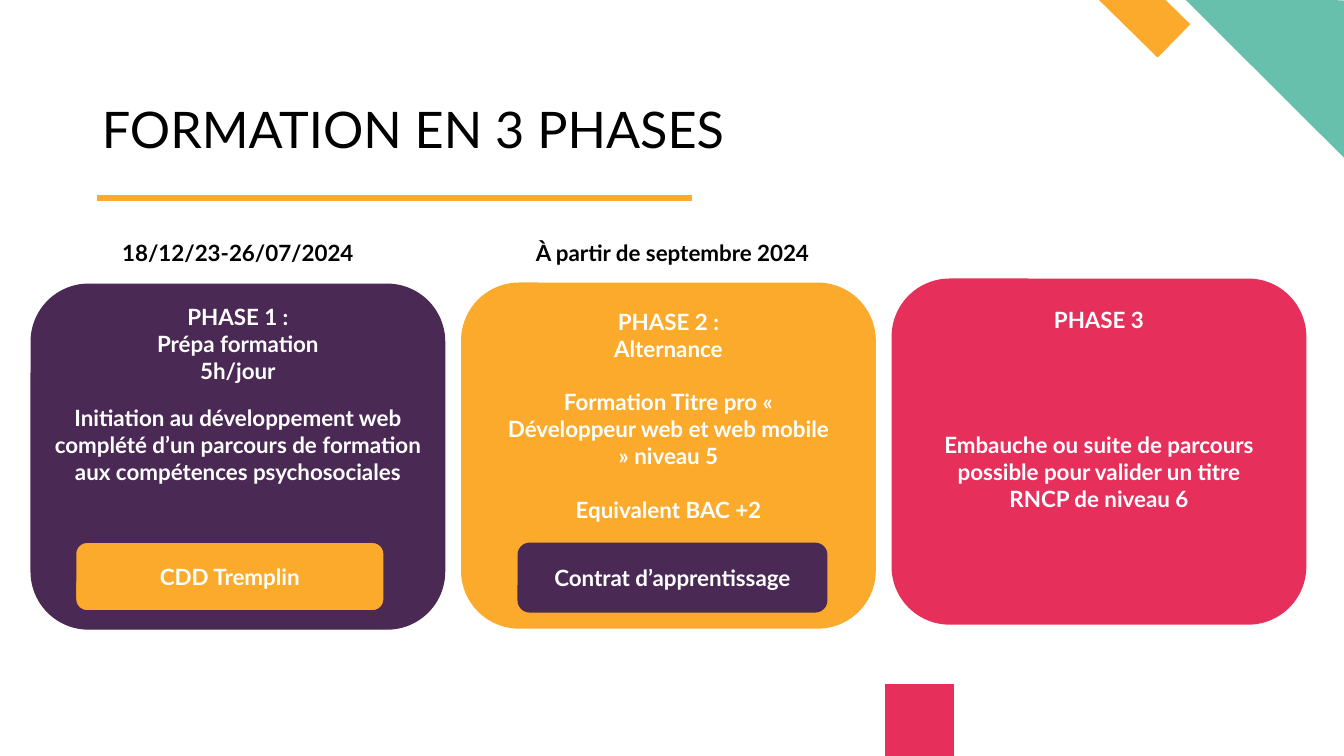
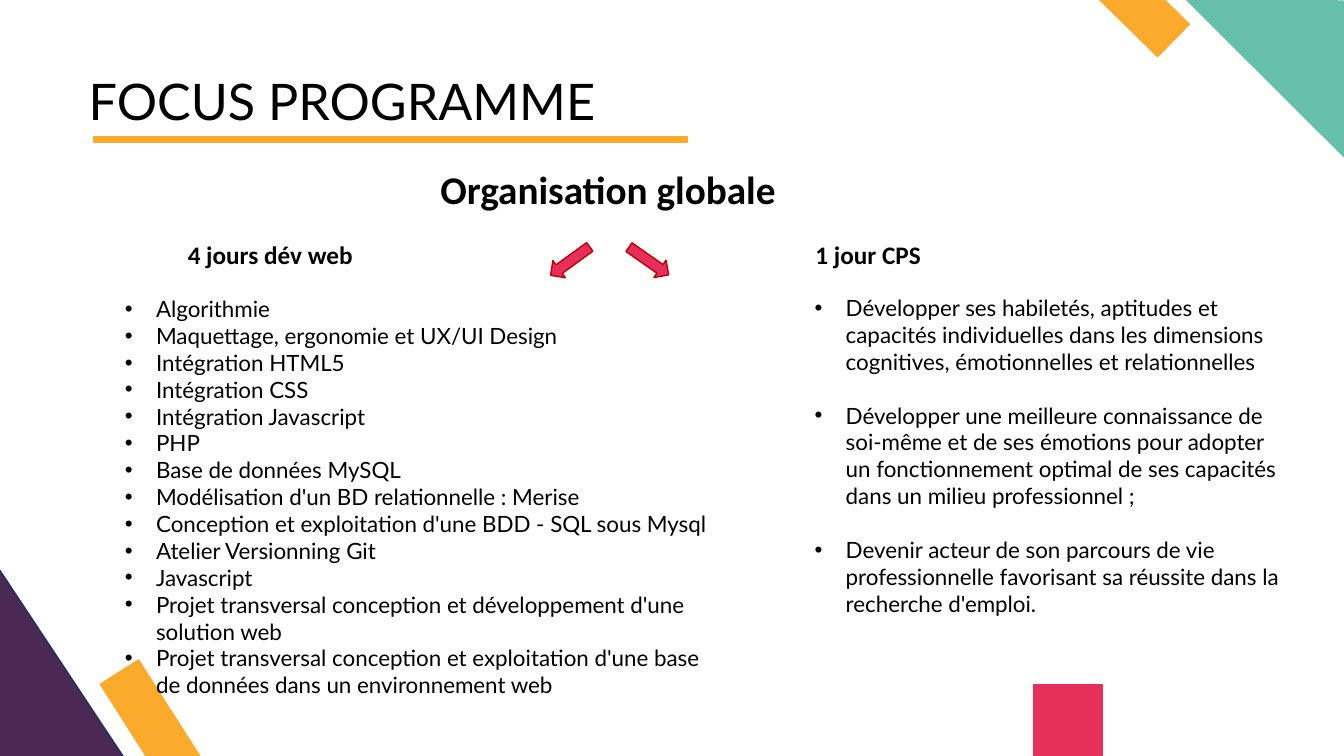
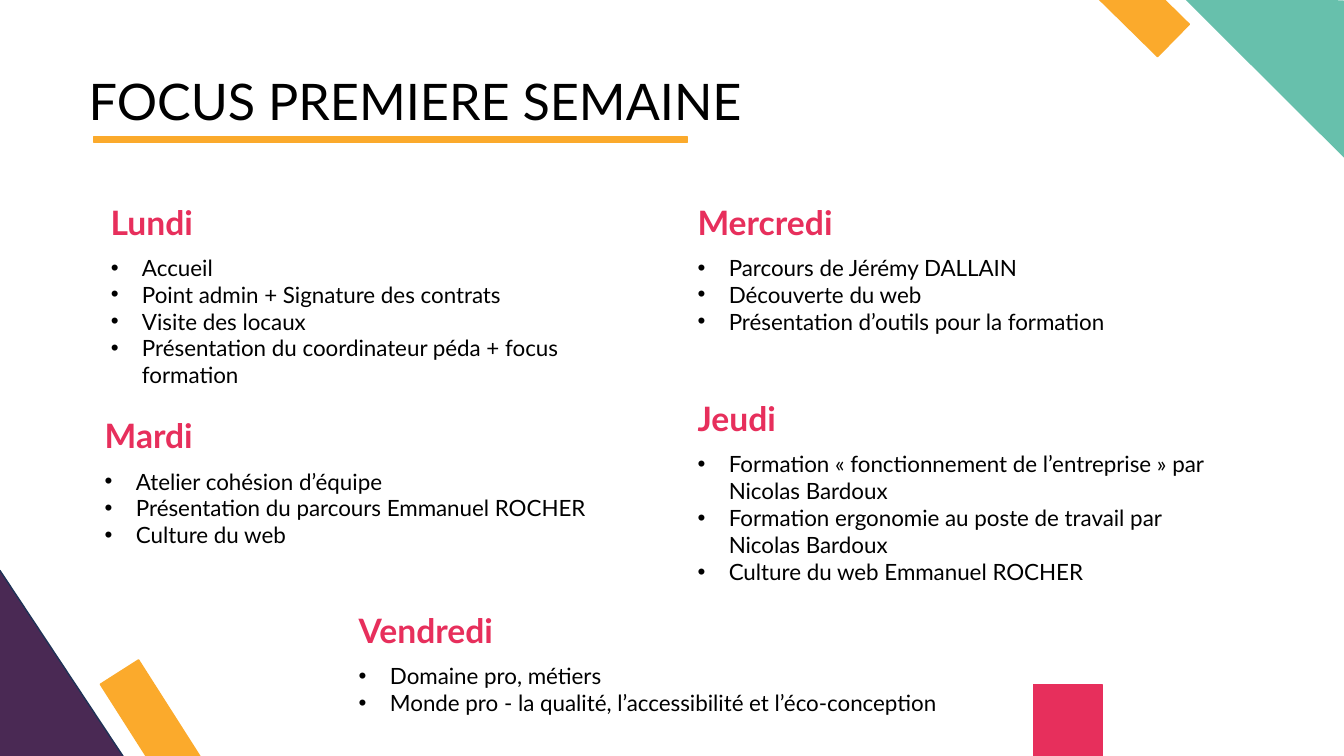
from dataclasses import dataclass

from lxml import etree
from pptx import Presentation
from pptx.dml.color import RGBColor
from pptx.enum.shapes import MSO_SHAPE
from pptx.enum.text import MSO_ANCHOR, MSO_AUTO_SIZE, PP_ALIGN
from pptx.oxml.ns import qn
from pptx.util import Pt

PX = 9144  # one hundredth of an inch


@dataclass(frozen=True)
class Theme:
    purple: str = "4A2954"
    navy: str = "1E3256"
    orange: str = "FBAA2C"
    pink: str = "E72F5C"
    green: str = "67C0AC"
    red: str = "C00000"
    black: str = "000000"
    white: str = "FFFFFF"
    font: str = "Lato"
    heading_font: str = "Calibri"
    title: int = 36
    section: int = 28
    day: int = 24
    column: int = 18
    body: int = 16
    blank_line: float = 19.2


THEME = Theme()


def px(*lengths):
    return [round(length * PX) for length in lengths]


def add_span(para, text, size=THEME.body, color=THEME.black, bold=False, font=THEME.font):
    span = para.add_run()
    span.text = text
    span.font.name = font
    span.font.size = Pt(size)
    span.font.bold = bold
    span.font.color.rgb = RGBColor.from_string(color)


def add_bullet(para):
    indent = 31 * PX
    properties = para._p.get_or_add_pPr()
    properties.set("marL", str(indent))
    properties.set("indent", str(-indent))
    etree.SubElement(properties, qn("a:buFont")).set("typeface", "Arial")
    etree.SubElement(properties, qn("a:buChar")).set("char", "•")


def fill_frame(frame, lines, align=PP_ALIGN.LEFT, anchor=MSO_ANCHOR.TOP,
               bullets=False, gaps=(), **style):
    """Write one paragraph per line; gaps lists the lines that follow an empty space."""
    frame.word_wrap = True
    frame.auto_size = MSO_AUTO_SIZE.NONE
    frame.vertical_anchor = anchor
    for index, line in enumerate(lines):
        para = frame.add_paragraph() if index else frame.paragraphs[0]
        para.alignment = align
        if index in gaps:
            para.space_before = Pt(THEME.blank_line)
        if bullets:
            add_bullet(para)
        add_span(para, line, **style)


def add_text(page, left, top, width, height, lines, **style):
    box = page.shapes.add_textbox(*px(left, top, width, height))
    fill_frame(box.text_frame, lines, **style)


def add_centred(page, center, middle, width, lines, height=90, **style):
    """Bold centred text placed around the point (center, middle)."""
    add_text(page, center - width / 2, middle - height / 2, width, height, lines,
             align=PP_ALIGN.CENTER, anchor=MSO_ANCHOR.MIDDLE, bold=True, **style)


def add_list(page, left, top, width, height, items, gaps=()):
    add_text(page, left, top, width, height, items, bullets=True, gaps=gaps)


def add_block(page, kind, left, top, width, height, fill, line=None, rotation=0):
    block = page.shapes.add_shape(kind, *px(left, top, width, height))
    block.shadow.inherit = False
    block.fill.solid()
    block.fill.fore_color.rgb = RGBColor.from_string(fill)
    block.line.color.rgb = RGBColor.from_string(line or fill)
    block.line.width = Pt(1)
    block.rotation = rotation
    return block


def add_page(deck, title, left, top, square_left, left_corner=True):
    """A page with its title, underline and coloured corners."""
    page = deck.slides.add_slide(deck.slide_layouts[5])
    if left_corner:
        add_block(page, MSO_SHAPE.ISOSCELES_TRIANGLE, -159, 566, 318, 240,
                  THEME.purple, THEME.navy)
        add_block(page, MSO_SHAPE.RECTANGLE, 157, 649, 45, 227, THEME.orange, rotation=327.5)
    corner = add_block(page, MSO_SHAPE.ISOSCELES_TRIANGLE, 1176, -18, 232, 110,
                       THEME.green, rotation=44.9)
    corner.adjustments[0] = 0.52
    add_block(page, MSO_SHAPE.RECTANGLE, 1070, -130, 45, 200, THEME.orange, rotation=134.5)
    add_block(page, MSO_SHAPE.RECTANGLE, square_left, 679, 68, 142, THEME.pink)

    heading = page.shapes.title
    heading.left, heading.top, heading.width, heading.height = px(left, top, 1077, 117)
    fill_frame(heading.text_frame, [title], anchor=MSO_ANCHOR.BOTTOM, size=THEME.title)
    heading.text_frame.paragraphs[0].line_spacing = 0.9
    return page


def add_underline(page, left, top):
    add_block(page, MSO_SHAPE.RECTANGLE, left, top, 589, 5, THEME.orange)


def add_button(page, left, top, label, fill):
    button = add_block(page, MSO_SHAPE.ROUNDED_RECTANGLE, left, top, 306, 68, fill, THEME.purple)
    fill_frame(button.text_frame, [label], align=PP_ALIGN.CENTER, anchor=MSO_ANCHOR.MIDDLE,
               color=THEME.white, bold=True)


def add_phases(deck):
    page = add_page(deck, "FORMATION EN 3 PHASES", 91, 46, 878, left_corner=False)
    add_underline(page, 97, 194)

    phases = [
        (THEME.purple, 282, 341, ["PHASE 1 :", "Prépa formation", "5h/jour"], 441, 421,
         ["Initiation au développement web complété d’un parcours de formation "
          "aux compétences psychosociales"]),
        (THEME.orange, 281, 332, ["PHASE 2 :", "Alternance"], 452, 339,
         ["Formation Titre pro « Développeur web et web mobile » niveau 5",
          "Equivalent BAC +2"]),
        (THEME.pink, 277, 317, ["PHASE 3"], 468, 349,
         ["Embauche ou suite de parcours possible pour valider un titre RNCP de niveau 6"]),
    ]
    card_width, card_step = 410, 427
    for index, (fill, top, head_middle, head, middle, width, body) in enumerate(phases):
        left = 31 + card_step * index
        center = left + card_width / 2
        add_block(page, MSO_SHAPE.ROUNDED_RECTANGLE, left, top, card_width, 342, fill)
        add_centred(page, center, head_middle, 206, head, color=THEME.white)
        add_centred(page, center, middle, width, body, height=144, gaps=[1], color=THEME.white)

    for center, date in [(236, "18/12/23-26/07/2024"), (667, "À partir de septembre 2024")]:
        add_centred(page, center, 251, 353, [date])
    add_button(page, 75, 538, "CDD Tremplin", THEME.orange)
    add_button(page, 514, 539, "Contrat d’apprentissage", THEME.purple)


def add_programme(deck):
    page = add_page(deck, "FOCUS PROGRAMME", 78, 18, 1025)
    add_underline(page, 93, 136)
    add_list(page, 114, 288, 617, 414, [
        "Algorithmie",
        "Maquettage, ergonomie et UX/UI Design",
        "Intégration HTML5",
        "Intégration CSS",
        "Intégration Javascript",
        "PHP",
        "Base de données MySQL",
        "Modélisation d'un BD relationnelle : Merise",
        "Conception et exploitation d'une BDD - SQL sous Mysql",
        "Atelier Versionning Git",
        "Javascript",
        "Projet transversal conception et développement d'une solution web",
        "Projet transversal conception et exploitation d'une base de données "
        "dans un environnement web",
    ])
    add_list(page, 798, 287, 489, 414, [
        "Développer ses habiletés, aptitudes et capacités individuelles dans les "
        "dimensions cognitives, émotionnelles et relationnelles",
        "Développer une meilleure connaissance de soi-même et de ses émotions pour adopter "
        "un fonctionnement optimal de ses capacités dans un milieu professionnel ;",
        "Devenir acteur de son parcours de vie professionnelle favorisant sa réussite "
        "dans la recherche d'emploi.",
    ], gaps=[1, 2])

    headings = [
        (603, 187, 596, "Organisation globale", THEME.section),
        (268, 252, 289, "4 jours dév web", THEME.column),
        (861, 252, 289, "1 jour CPS", THEME.column),
    ]
    for center, middle, width, label, size in headings:
        add_centred(page, center, middle, width, [label], height=57, size=size,
                    font=THEME.heading_font)
    for left, rotation in [(555, 234), (633, 125)]:
        add_block(page, MSO_SHAPE.UP_ARROW, left, 235, 21, 48, THEME.pink, THEME.red, rotation)


def add_day(page, left, top, width, day, items):
    add_text(page, left, top, 200, 52, [day], size=THEME.day, color=THEME.pink, bold=True)
    add_list(page, left, top + 52, width, 145 if len(items) > 2 else 64, items)


def add_first_week(deck):
    page = add_page(deck, "FOCUS PREMIERE SEMAINE", 78, 18, 1025)
    add_underline(page, 93, 136)
    days = [
        (100, 195, 489, "Lundi", [
            "Accueil",
            "Point admin + Signature des contrats",
            "Visite des locaux",
            "Présentation du coordinateur péda + focus formation"]),
        (94, 407, 527, "Mardi", [
            "Atelier cohésion d’équipe",
            "Présentation du parcours Emmanuel ROCHER",
            "Culture du web"]),
        (682, 195, 527, "Mercredi", [
            "Parcours de Jérémy DALLAIN",
            "Découverte du web",
            "Présentation d’outils pour la formation"]),
        (682, 390, 527, "Jeudi", [
            "Formation « fonctionnement de l’entreprise » par Nicolas Bardoux",
            "Formation ergonomie au poste de travail par Nicolas Bardoux",
            "Culture du web Emmanuel ROCHER"]),
        (346, 600, 667, "Vendredi", [
            "Domaine pro, métiers",
            "Monde pro - la qualité, l’accessibilité et l’éco-conception"]),
    ]
    for day in days:
        add_day(page, *day)


def main():
    deck = Presentation()
    deck.slide_width, deck.slide_height = px(1333, 750)
    add_phases(deck)
    add_programme(deck)
    add_first_week(deck)
    deck.save("out.pptx")


if __name__ == "__main__":
    main()
